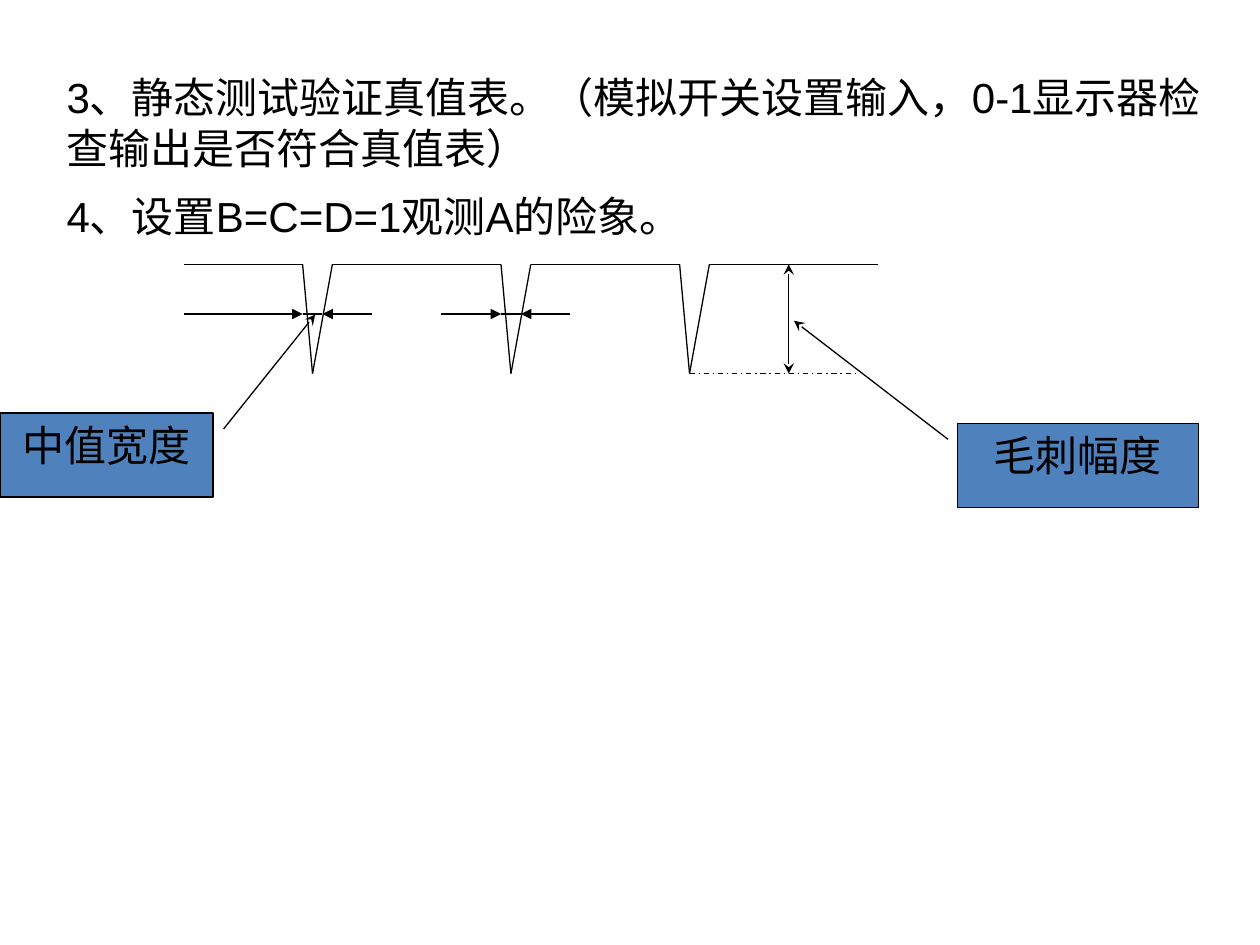
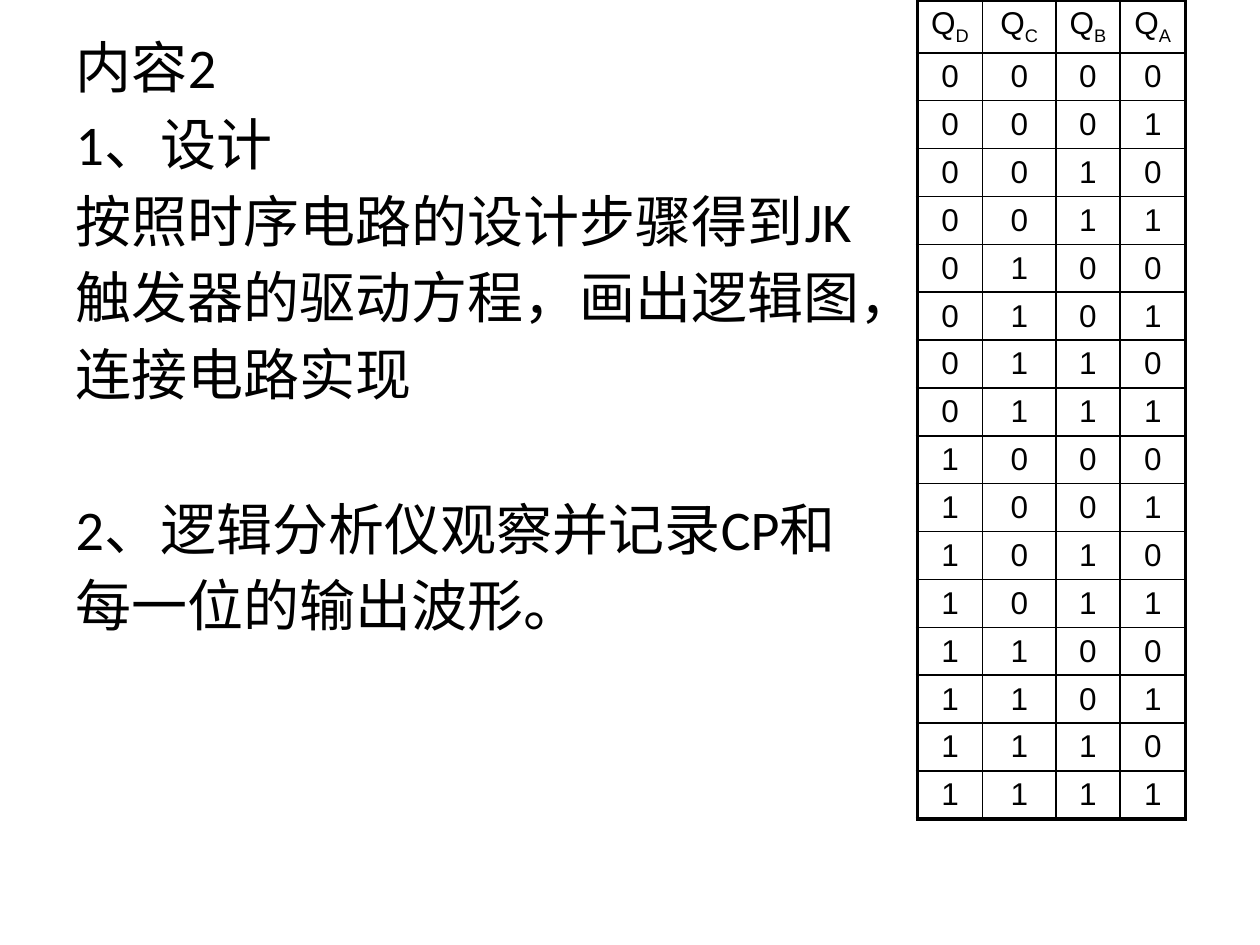
from dataclasses import dataclass
from itertools import product
from typing import Any, NamedTuple

from pptx import Presentation
from pptx.dml.color import RGBColor
from pptx.enum.dml import MSO_LINE
from pptx.enum.shapes import MSO_CONNECTOR, MSO_SHAPE
from pptx.enum.text import MSO_ANCHOR, MSO_AUTO_SIZE, PP_ALIGN
from pptx.oxml.ns import qn
from pptx.util import Inches, Mm, Pt

STRAIGHT = MSO_CONNECTOR.STRAIGHT
CALLOUT = MSO_SHAPE.LINE_CALLOUT_1
DASH_DOT = MSO_LINE.DASH_DOT
TOP, MIDDLE = MSO_ANCHOR.TOP, MSO_ANCHOR.MIDDLE
LEFT, CENTER = PP_ALIGN.LEFT, PP_ALIGN.CENTER
NO_AUTOSIZE = MSO_AUTO_SIZE.NONE

# Shared look
WIDTH, HEIGHT = Inches(10), Inches(7.5)
BLACK, BLUE = "000000", "4F81BD"
LINE_WIDTH = 0.75
CONTENT_LAYOUT, BLANK_LAYOUT = 1, 6

# Waveform grid: square cells, column 0 and row 0 at the start of the signal
CELL, GRID_LEFT, GRID_TOP = Mm(2), Mm(37), Mm(53.3)
HIGH, HALF, LOW = 0, 5, 11
GLITCH_STARTS = (12, 32, 50)
GLITCH_DIP, GLITCH_WIDTH, GLITCH_MIDDLE = 1, 3, 2
SIGNAL_END = 70


class Box(NamedTuple):
    """A frame in percent of the slide's width and height."""
    left: float
    top: float
    width: float
    height: float

    def frame(self) -> tuple[int, int, int, int]:
        return (across(self.left), down(self.top),
                across(self.width), down(self.height))


class Style(NamedTuple):
    font: str
    size: float
    align: Any = LEFT


class Paragraph(NamedTuple):
    text: str
    space_before: float = 0


@dataclass
class Segment:
    """A line between two (column, row) points of the waveform grid."""
    start: tuple[float, float]
    end: tuple[float, float]
    head: str = ""
    tail: str = ""
    dash: Any = None


@dataclass
class Callout:
    text: str
    box: Box
    leader: tuple[float, float, float, float]


NOTE = Style("Arial", 24)
LABEL = Style("Arial", 24, CENTER)
BODY = Style("Calibri", 32)
DIGIT = Style("Arial", 18, CENTER)

TEST_STEPS = [
    Paragraph("3、静态测试验证真值表。（模拟开关设置输入，0-1显示器检查输出是否符合真值表）"),
    Paragraph("4、设置B=C=D=1观测A的险象。", 10.3),
]
CALLOUTS = [
    Callout("中值宽度", Box(0, 43.7, 16.9, 8.9), (0.19, 1.05, -1.17, 1.48)),
    Callout("毛刺幅度", Box(76, 44.8, 19.1, 8.9), (0.19, -0.04, -1.22, -0.68)),
]
DESIGN_STEPS = [
    Paragraph("内容2"),
    Paragraph("1、设计", 5.4),
    Paragraph("按照时序电路的设计步骤得到JK", 5.4),
    Paragraph("触发器的驱动方程，画出逻辑图，", 5.4),
    Paragraph("连接电路实现", 5.4),
    Paragraph("2、逻辑分析仪观察并记录CP和", 50),
    Paragraph("每一位的输出波形。", 5.4),
]

# Truth table, in percent of the slide
OUTPUTS = "DCBA"
COLUMN_WIDTHS = (5.2, 5.8, 5.1, 5.2)
HEADER_HEIGHT, ROW_HEIGHT = 5.6, 5.07
TABLE_LEFT = 72.8
OUTER_BORDER, INNER_BORDER = 2.25, 1


def across(percent: float) -> int:
    return int(WIDTH * percent / 100)


def down(percent: float) -> int:
    return int(HEIGHT * percent / 100)


def colour(value: str) -> RGBColor:
    return RGBColor.from_string(value)


def apply(target: Any, formats: dict[str, Any]) -> None:
    for name, value in formats.items():
        setattr(target, name, value)


def add_run(paragraph: Any, text: str, style: Style) -> Any:
    run = paragraph.add_run()
    run.text = text
    apply(run.font, {"name": style.font, "size": Pt(style.size)})
    run.font.color.rgb = colour(BLACK)
    return run


def write(text_frame: Any, items: list[Paragraph], style: Style) -> None:
    apply(text_frame, {"word_wrap": True, "auto_size": NO_AUTOSIZE,
                       "vertical_anchor": TOP})
    for index, item in enumerate(items):
        paragraph = text_frame.add_paragraph() if index else text_frame.paragraphs[0]
        properties = paragraph._p.get_or_add_pPr()
        apply(paragraph, {"alignment": style.align,
                          "space_before": Pt(item.space_before)})
        properties.set("marL", "0")
        properties.set("indent", "0")
        properties.append(properties.makeelement(qn("a:buNone"), {}))
        add_run(paragraph, item.text, style)


def style_line(shape: Any, head: str = "", tail: str = "", dash: Any = None) -> None:
    shape.line.color.rgb = colour(BLACK)
    shape.line.width = Pt(LINE_WIDTH)
    if dash is not None:
        shape.line.dash_style = dash
    outline = shape._element.spPr.find(qn("a:ln"))
    for tag, kind in (("a:headEnd", head), ("a:tailEnd", tail)):
        if kind:
            outline.append(outline.makeelement(qn(tag), {"type": kind}))


def draw_segment(slide: Any, segment: Segment) -> None:
    points = [origin + int(CELL * place)
              for point in (segment.start, segment.end)
              for origin, place in zip((GRID_LEFT, GRID_TOP), point)]
    connector = slide.shapes.add_connector(STRAIGHT, *points)
    style_line(connector, segment.head, segment.tail, segment.dash)
    properties = connector._element.spPr
    properties.append(properties.makeelement(qn("a:effectLst"), {}))


def draw_callout(slide: Any, callout: Callout) -> None:
    shape = slide.shapes.add_shape(CALLOUT, *callout.box.frame())
    for index, value in enumerate(callout.leader):
        shape.adjustments[index] = value
    shape.shadow.inherit = False
    shape.fill.solid()
    shape.fill.fore_color.rgb = colour(BLUE)
    style_line(shape, tail="stealth")
    write(shape.text_frame, [Paragraph(callout.text)], LABEL)


def waveform() -> list[Segment]:
    """High levels joined by narrow glitches."""
    segments = []
    level_start = 0
    for start in GLITCH_STARTS:
        dip, end = (start + GLITCH_DIP, LOW), (start + GLITCH_WIDTH, HIGH)
        segments += [Segment((level_start, HIGH), (start, HIGH)),
                     Segment((start, HIGH), dip), Segment(dip, end)]
        level_start = start + GLITCH_WIDTH
    return segments + [Segment((level_start, HIGH), (SIGNAL_END, HIGH))]


def width_marks(arrow_start: int, glitch_start: int) -> list[Segment]:
    """Two arrows that enclose the glitch at half its height."""
    left, right = (glitch_start, HALF), (glitch_start + GLITCH_MIDDLE, HALF)
    return [Segment((arrow_start, HALF), left, tail="triangle"),
            Segment(left, right),
            Segment((glitch_start + 7, HALF), right, tail="triangle")]


def build_glitch_slide(presentation: Any) -> None:
    slide = presentation.slides.add_slide(presentation.slide_layouts[BLANK_LAYOUT])
    text_box = slide.shapes.add_textbox(*Box(4.3, 6.93, 92.9, 20.1).frame())
    write(text_box.text_frame, TEST_STEPS, NOTE)
    amplitude_marks = [
        Segment((GLITCH_STARTS[-1] + GLITCH_DIP, LOW), (68, LOW), dash=DASH_DOT),
        Segment((61, HIGH), (61, LOW), head="stealth", tail="stealth"),
    ]
    for segment in (waveform() + width_marks(0, GLITCH_STARTS[0])
                    + width_marks(26, GLITCH_STARTS[1]) + amplitude_marks):
        draw_segment(slide, segment)
    for callout in CALLOUTS:
        draw_callout(slide, callout)


def set_borders(cell: Any, widths: dict[str, float]) -> None:
    properties = cell._tc.get_or_add_tcPr()
    for side, width in widths.items():
        line = properties.makeelement(qn(f"a:ln{side}"), {"w": str(Pt(width))})
        fill = line.makeelement(qn("a:solidFill"), {})
        fill.append(fill.makeelement(qn("a:srgbClr"), {"val": BLACK}))
        line.append(fill)
        properties.append(line)


def draw_truth_table(slide: Any) -> None:
    states = list(product("01", repeat=len(OUTPUTS)))
    last_row, last_column = len(states), len(OUTPUTS) - 1
    box = Box(TABLE_LEFT, 0, sum(COLUMN_WIDTHS),
              HEADER_HEIGHT + ROW_HEIGHT * len(states))
    table = slide.shapes.add_table(last_row + 1, len(OUTPUTS), *box.frame()).table
    apply(table, {"first_row": False, "horz_banding": False})
    for column, width in zip(table.columns, COLUMN_WIDTHS):
        column.width = across(width)
    for index, row in enumerate(table.rows):
        row.height = down(ROW_HEIGHT if index else HEADER_HEIGHT)

    for row, column in product(range(last_row + 1), range(len(OUTPUTS))):
        cell = table.cell(row, column)
        on_edge = {"L": column == 0, "R": column == last_column,
                   "T": row == 0, "B": row == last_row}
        set_borders(cell, {side: OUTER_BORDER if edge else INNER_BORDER
                           for side, edge in on_edge.items()})
        cell.fill.background()
        apply(cell, {"vertical_anchor": MIDDLE, "margin_top": Inches(0.04),
                     "margin_bottom": Inches(0.04)})
        paragraph = cell.text_frame.paragraphs[0]
        paragraph.alignment = DIGIT.align
        if row:
            add_run(paragraph, states[row - 1][column], DIGIT)
        else:
            add_run(paragraph, "Q", DIGIT)
            subscript = add_run(paragraph, OUTPUTS[column], DIGIT)
            subscript._r.get_or_add_rPr().set("baseline", "-25000")


def build_counter_slide(presentation: Any) -> None:
    slide = presentation.slides.add_slide(presentation.slide_layouts[CONTENT_LAYOUT])
    title, body = slide.placeholders
    title._element.getparent().remove(title._element)
    frame = Box(5, 2.8, 90, 86.5).frame()
    apply(body, dict(zip(("left", "top", "width", "height"), frame)))
    write(body.text_frame, DESIGN_STEPS, BODY)
    draw_truth_table(slide)


def main() -> None:
    presentation = Presentation()
    apply(presentation, {"slide_width": WIDTH, "slide_height": HEIGHT})
    build_glitch_slide(presentation)
    build_counter_slide(presentation)
    presentation.save("out.pptx")


if __name__ == "__main__":
    main()
